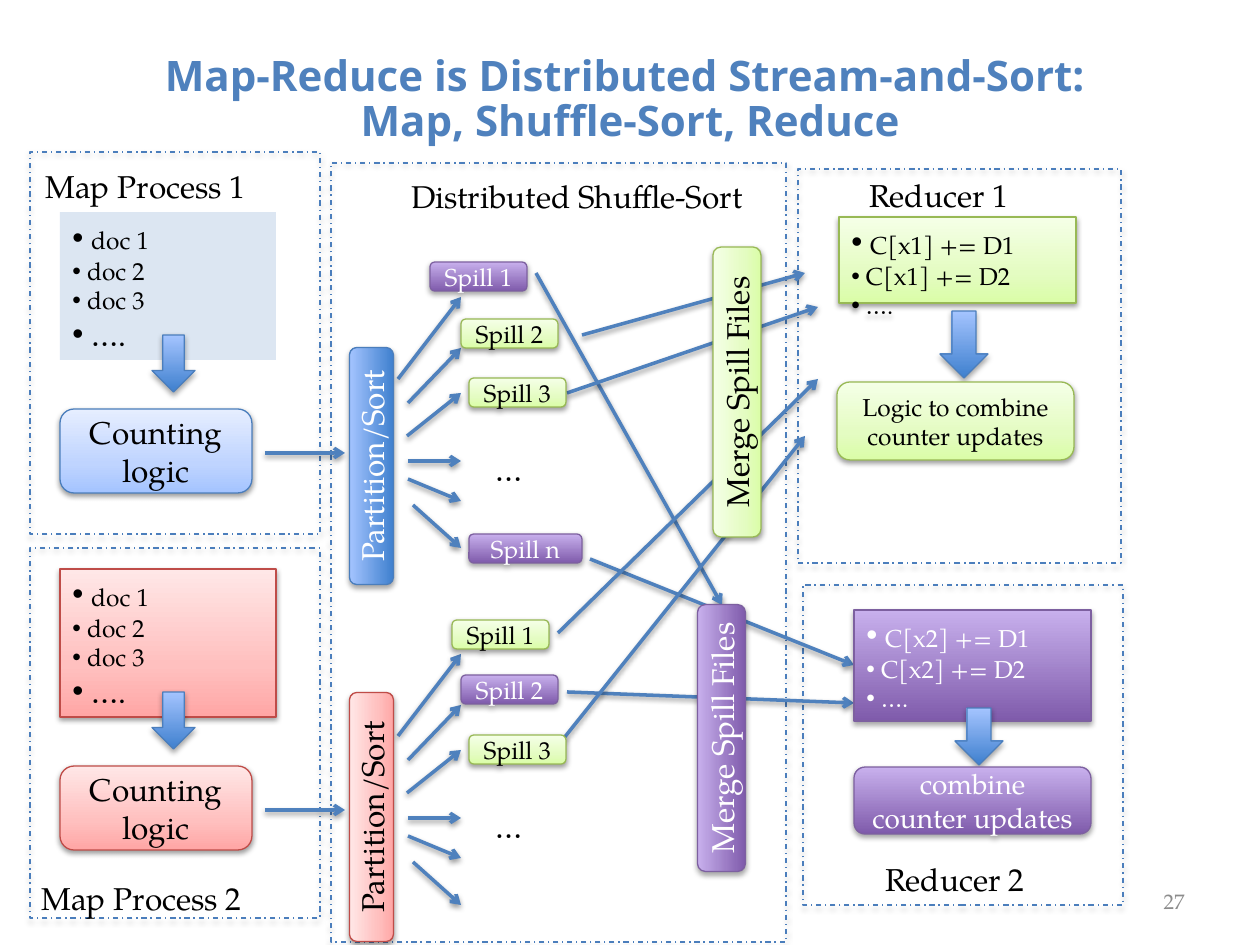
"""Build the slide on map-reduce as distributed stream-and-sort."""
from lxml import etree
from pptx import Presentation
from pptx.dml.color import RGBColor
from pptx.enum.dml import MSO_LINE
from pptx.enum.shapes import MSO_CONNECTOR, MSO_SHAPE
from pptx.enum.text import MSO_ANCHOR, MSO_AUTO_SIZE, PP_ALIGN
from pptx.oxml.ns import qn
from pptx.util import Emu, Pt

RECT, ROUND, DOWN = MSO_SHAPE.RECTANGLE, MSO_SHAPE.ROUNDED_RECTANGLE, MSO_SHAPE.DOWN_ARROW
LEFT, MID, RIGHT = PP_ALIGN.LEFT, PP_ALIGN.CENTER, PP_ALIGN.RIGHT
TOP, CENTER = MSO_ANCHOR.TOP, MSO_ANCHOR.MIDDLE
SERIF, SANS = "TeX Gyre Pagella", "Noto Sans"
PX = 914400 / 126

HEX = {"black": "000000", "white": "FFFFFF", "accent": "4F81BD", "grey": "8C8C8C",
       "pale": "DCE6F2", "edge": "4B7EBC", "rose": "BF4C48", "leaf": "98B955",
       "plum": "7D60A0", "blue1": "3F80CE", "blue2": "A4C4FF", "sky2": "BFD4FF",
       "sky3": "E6EEFF", "red1": "FFA6A5", "red2": "FFC0BF", "red3": "FFE7E7",
       "green1": "DAFDA7", "green2": "E4FCC2", "green3": "F5FFE7",
       "purple1": "7F5BAB", "purple2": "C8B0ED"}
STYLE = {"blue": (("blue1", "blue2"), "edge", "white"),
         "sky": (("blue2", "sky2", "sky3"), "edge", "black"),
         "red": (("red1", "red2", "red3"), "rose", "black"),
         "green": (("green1", "green2", "green3"), "leaf", "black"),
         "purple": (("purple1", "purple2"), "plum", "white")}

TITLE = ("Map-Reduce is Distributed Stream-and-Sort: ", "Map, Shuffle-Sort, Reduce")
FRAMES = [(30, 152, 290, 382), (30, 548, 290, 370), (331, 163, 455, 779),
          (798, 169, 323, 394), (803, 585, 320, 320)]
LABELS = [("Map Process 1", 33, 161, 316), ("Map Process 2", 29, 873, 316),
          ("Reducer 1", 857, 170, 166), ("Reducer 2", 873, 854, 166),
          ("Distributed Shuffle-Sort", 399, 171, 363)]
FLOWS = [(590, 559, 854, 665), (567, 692, 854, 703), (536, 273, 722, 605),
         (582, 335, 805, 273), (567, 393, 818, 307), (558, 633, 818, 379),
         (564, 738, 805, 436)]
FAN = [(265, 453, 345, 453), (398, 379, 461, 297), (408, 403, 461, 348),
       (407, 436, 461, 393), (408, 461, 461, 461), (408, 479, 461, 501),
       (413, 505, 461, 548)]
STEP = 357
MAPS = [("pale", "sky", 0), ("red", "red", STEP)]
DOCS = [("doc 1", 14), ("doc 2", 14), ("doc 3", 14), ("….", 18)]
SPILLS = [("Spill 1", "purple", 430, 262, 97), ("Spill 2", "green", 461, 319, 97),
          ("Spill 3", "green", 469, 378, 97), ("Spill n", "purple", 469, 534, 113),
          ("Spill 1", "green", 452, 620, 97), ("Spill 2", "purple", 461, 675, 97),
          ("Spill 3", "green", 469, 735, 97)]
BARS = [("Partition/Sort", "blue", 253, 444, 237, 44),
        ("Partition/Sort", "red", 247, 795, 249, 44),
        ("Merge Spill Files", "green", 592, 368, 290, 48),
        ("Merge Spill Files", "purple", 588, 714, 267, 48)]
REDUCERS = [
    ("green", "x1", (839, 217, 237, 86), (940, 311, 48, 67), (837, 382, 237, 78),
     "Logic to combine counter updates", 14),
    ("purple", "x2", (854, 610, 237, 111), (955, 708, 48, 57), (854, 767, 237, 67),
     "combine counter updates", 16)]

prs = Presentation()
prs.slide_width, prs.slide_height = Emu(round(1260 * PX)), Emu(round(945 * PX))
slide = prs.slides.add_slide(prs.slide_layouts[5])
shapes = slide.shapes


def px(*nums):
    return [Emu(round(n * PX)) for n in nums]


def rgb(name):
    return RGBColor.from_string(HEX[name])


def add_run(para, text, size, tint, face=SERIF, bold=False):
    run = para.add_run()
    run.text = text
    font = run.font
    font.size, font.name, font.bold = Pt(size), face, bold
    font.color.rgb = rgb(tint)


def write(shape, text, size, tint, align=MID, anchor=CENTER):
    frame = shape.text_frame
    frame.word_wrap, frame.vertical_anchor = True, anchor
    para = frame.paragraphs[0]
    para.alignment = align
    add_run(para, text, size, tint)


def shade(shape, soft):
    shape.shadow.inherit = False
    glow = shape._element.spPr.find(qn("a:effectLst"))
    drop = etree.SubElement(glow, qn("a:outerShdw"), blurRad="40000",
                            dist="20000" if soft else "23000", dir="5400000", rotWithShape="0")
    ink = etree.SubElement(drop, qn("a:srgbClr"), val=HEX["black"])
    etree.SubElement(ink, qn("a:alpha"), val="38000" if soft else "35000")


def add_box(kind, spot, style, turn=0):
    box = shapes.add_shape(kind, *px(*spot))
    box.rotation = turn
    if style == "pale":
        box.shadow.inherit = False
        box.fill.solid()
        box.fill.fore_color.rgb = rgb(style)
        box.line.fill.background()
        return box
    tones, edge, _ = STYLE[style]
    box.fill.gradient()
    box.fill.gradient_angle = 90
    stops = box._element.spPr.find(".//" + qn("a:gsLst"))
    for stop in list(stops):
        stops.remove(stop)
    for tone, pos in zip(tones, (0, 35, 100) if len(tones) == 3 else (0, 100)):
        stop = etree.SubElement(stops, qn("a:gs"), pos=str(pos * 1000))
        etree.SubElement(stop, qn("a:srgbClr"), val=HEX[tone])
    box.line.color.rgb, box.line.width = rgb(edge), Pt(0.75)
    shade(box, len(tones) == 3)
    return box


def add_list(spot, style, items):
    box = add_box(RECT, spot, style)
    tint = STYLE[style][2] if style in STYLE else "black"
    frame = box.text_frame
    frame.word_wrap, frame.vertical_anchor = True, TOP
    for i, (text, size) in enumerate(items):
        para = frame.add_paragraph() if i else frame.paragraphs[0]
        para.alignment = LEFT
        props = para._p.get_or_add_pPr()
        etree.SubElement(props, qn("a:buFont"), typeface="Arial")
        etree.SubElement(props, qn("a:buChar"), char="•")
        add_run(para, " ", size if i else 18, tint)
        add_run(para, text, size, tint)


def add_arrow(x1, y1, x2, y2):
    arrow = shapes.add_connector(MSO_CONNECTOR.STRAIGHT, *px(x1, y1, x2, y2))
    arrow.line.color.rgb, arrow.line.width = rgb("accent"), Pt(2)
    props = arrow._element.spPr
    etree.SubElement(props.find(qn("a:ln")), qn("a:tailEnd"), type="arrow")
    etree.SubElement(props, qn("a:effectLst"))
    shade(arrow, True)


def add_label(text, x, y, w, h=50, size=18, tint="black", align=LEFT, anchor=TOP):
    write(shapes.add_textbox(*px(x, y, w, h)), text, size, tint, align, anchor)


head = shapes.title
head.left, head.top, head.width, head.height = px(63, 38, 1134, 125)
head.text_frame.auto_size = MSO_AUTO_SIZE.NONE
head.text_frame.vertical_anchor = CENTER
line = head.text_frame.paragraphs[0]
line.alignment, line.line_spacing = MID, 0.9
add_run(line, TITLE[0], 24, "accent", SANS, True)
line.add_line_break()
add_run(line, TITLE[1], 24, "accent", SANS, True)

for spot in FRAMES:
    frame = shapes.add_shape(RECT, *px(*spot))
    frame.fill.background()
    frame.line.color.rgb, frame.line.width = rgb("edge"), Pt(0.75)
    frame.line.dash_style = MSO_LINE.DASH_DOT
    shade(frame, False)
for flow in FLOWS:
    add_arrow(*flow)
for back, style, dy in MAPS:
    add_list((60, 212 + dy, 216, 148), back, DOCS)
    add_box(DOWN, (152, 335 + dy, 43, 57), "blue")
    write(add_box(ROUND, (60, 409 + dy, 192, 84), style), "Counting logic", 18, "black")
    for x1, y1, x2, y2 in FAN:
        add_arrow(x1, y1 + dy, x2, y2 + dy)
    add_label("…", 483, 444 + dy, 53, 34)
for text, style, x, y, w in SPILLS:
    write(add_box(ROUND, (x, y, w, 29), style), text, 14, STYLE[style][2])
for text, style, *spot in BARS:
    write(add_box(ROUND, spot, style, 270), text, 18, STYLE[style][2])
for style, key, top, down, base, text, size in REDUCERS:
    add_list(top, style, [(f"C[{key}] += D1", 14), (f"C[{key}] += D2", 14), ("….", 14)])
    add_box(DOWN, down, "blue")
    write(add_box(ROUND, base, style), text, size, STYLE[style][2])
for label in LABELS:
    add_label(*label)
add_label("27", 903, 876, 294, 50, 12, "grey", RIGHT, CENTER)

prs.save("out.pptx")
